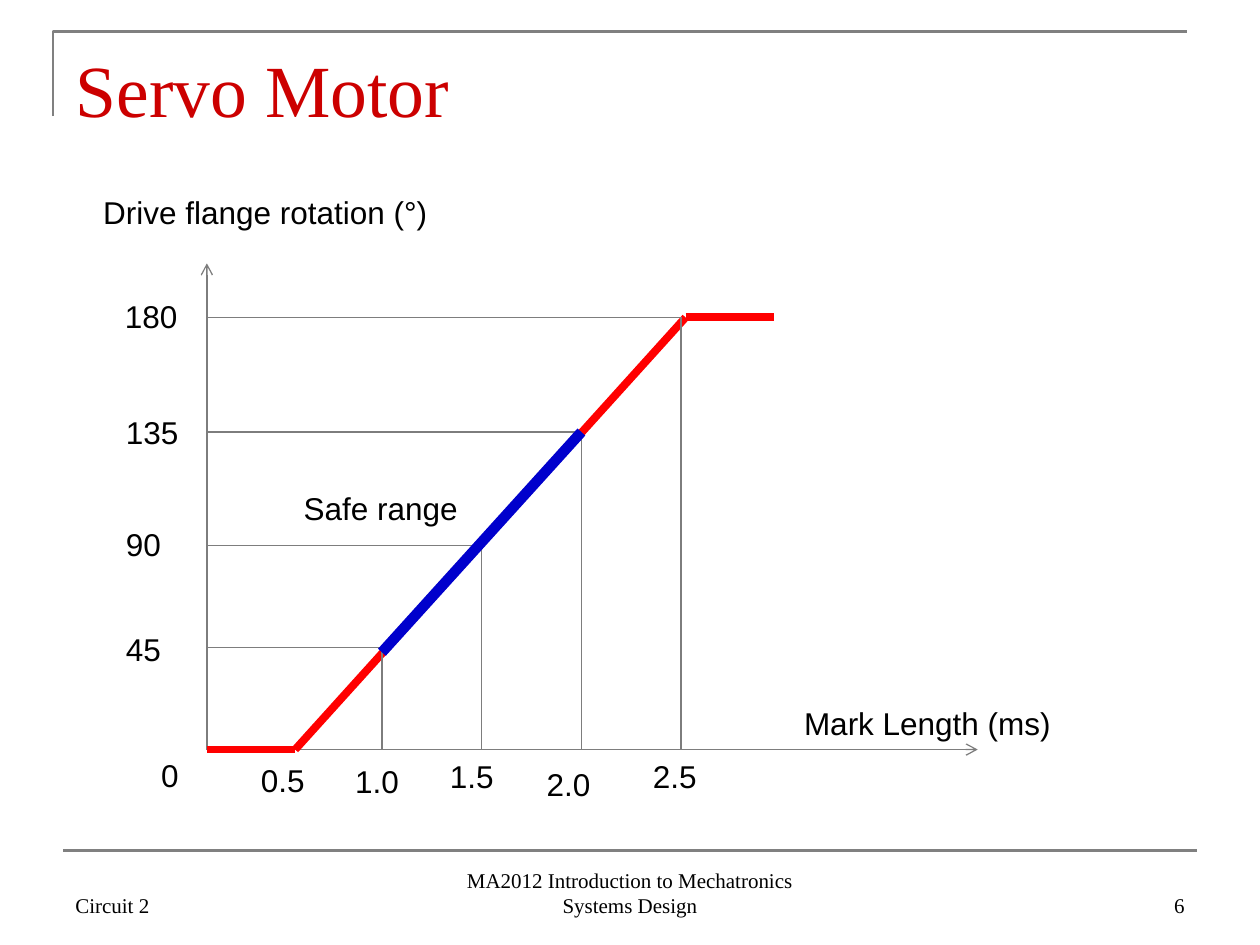
from lxml.etree import SubElement
from pptx import Presentation
from pptx.dml.color import RGBColor
from pptx.enum.shapes import MSO_CONNECTOR
from pptx.enum.text import MSO_ANCHOR, PP_ALIGN
from pptx.oxml.ns import qn
from pptx.util import Cm, Pt

BLACK = RGBColor(0x00, 0x00, 0x00)
GREY = RGBColor(0x80, 0x80, 0x80)
AXIS_GREY = RGBColor(0x7D, 0x7D, 0x7D)
CRIMSON = RGBColor(0xCC, 0x00, 0x00)
RED = RGBColor(0xFF, 0x00, 0x00)
BLUE = RGBColor(0x00, 0x00, 0xCC)
SERIF = "Times New Roman"
SANS = "Arial"


def add_line(s, start, end, color, width, arrow=False):
    x1, y1, x2, y2 = (Cm(v) for v in (*start, *end))
    cn = s.shapes.add_connector(MSO_CONNECTOR.STRAIGHT, x1, y1, x2, y2)
    cn.line.color.rgb = color
    cn.line.width = Pt(width)
    if arrow:
        SubElement(cn.line._get_or_add_ln(), qn("a:tailEnd"), type="arrow")
    SubElement(cn._element.spPr, qn("a:effectLst"))


def set_font(p, name, size, color):
    p.font.name = name
    p.font.size = Pt(size)
    p.font.color.rgb = color


def add_text(s, text, box, font=SANS, size=18, align=PP_ALIGN.LEFT,
             anchor=MSO_ANCHOR.TOP):
    tf = s.shapes.add_textbox(*(Cm(v) for v in box)).text_frame
    tf.word_wrap = True
    tf.vertical_anchor = anchor
    p = tf.paragraphs[0]
    p.text = text
    p.alignment = align
    set_font(p, font, size, BLACK)


def add_corner(s, left, top, width, height):
    fb = s.shapes.build_freeform(Cm(left), Cm(top + height))
    fb.add_line_segments([(Cm(left), Cm(top)), (Cm(left + width), Cm(top))],
                         close=False)
    sp = fb.convert_to_shape()
    sp.shadow.inherit = False
    sp.fill.background()
    sp.line.color.rgb = GREY
    sp.line.width = Pt(1.5)


def add_title(s, left, top, width, height):
    sp = s.shapes.title
    sp.left, sp.top, sp.width, sp.height = (
        Cm(v) for v in (left, top, width, height))
    tf = sp.text_frame
    tf.vertical_anchor = MSO_ANCHOR.TOP
    p = tf.paragraphs[0]
    p.text = "Servo Motor"
    p.alignment = PP_ALIGN.LEFT
    set_font(p, SERIF, 42, CRIMSON)


def add_footer(s, left, top, width, height):
    add_line(s, (left, top), (left + width, top), GREY, 1.5)
    side, middle = 5.92, 8.05
    for text, x, w, align in (
        ("Circuit 2", 0, side, PP_ALIGN.LEFT),
        ("MA2012 Introduction to Mechatronics Systems Design",
         (width - middle) / 2, middle, PP_ALIGN.CENTER),
        ("6", width - side, side, PP_ALIGN.RIGHT),
    ):
        add_text(s, text, (left + x, top + 0.2, w, height - 0.2), SERIF, 12,
                 align, MSO_ANCHOR.BOTTOM)


def add_graph(s, left, top, width, height):
    def at(x, y):
        return left + x, top + height - y

    def line(start, end, color=AXIS_GREY, weight=0.75, arrow=False):
        add_line(s, at(*start), at(*end), color, weight, arrow)

    line((0, 0), (0, height), arrow=True)
    line((0, 0), (width, 0), arrow=True)

    curve = [(0, 0), (1.78, 0), (9.65, 8.71), (11.43, 8.71)]
    for start, end in zip(curve, curve[1:]):
        line(start, end, RED, 4.5)

    guide_xs = [3.53 + 2.01 * i for i in range(4)]
    guide_ys = [2.06, 4.11, 6.4, 8.71]
    for x, y in zip(guide_xs, guide_ys):
        line((x, y), (x, 0))
        line((x, y), (0, y))
    line((guide_xs[0], 1.96), (guide_xs[2], guide_ys[2]), BLUE, 6)

    labels = [
        ("0.5", 0.84, -0.1, 1.88),
        ("1.0", 2.74, -0.13, 1.88),
        ("1.5", 4.65, -0.03, 1.88),
        ("2.0", 6.6, -0.18, 1.88),
        ("2.5", 8.74, -0.03, 1.88),
        ("0", -1.17, 0, 1.17),
        ("45", -1.88, 2.54, 1.88),
        ("90", -1.88, 4.65, 1.88),
        ("135", -1.88, 6.91, 1.88),
        ("180", -1.9, 9.25, 1.88),
        ("Mark Length (ms)", 11.79, 1.04, 6.27),
        ("Drive flange rotation (°)", -2.34, 11.35, 8.05),
        ("Safe range", 1.7, 5.38, 4.67),
    ]
    for text, x, y, w in labels:
        add_text(s, text, (*at(x, y), w, 1.02))


def main():
    prs = Presentation()
    prs.slide_width, prs.slide_height = Cm(25.4), Cm(19.05)
    s = prs.slides.add_slide(prs.slide_layouts[5])
    add_corner(s, 1.07, 0.64, 22.86, 1.7)
    add_title(s, 1.27, 0.76, 22.86, 3.18)
    add_footer(s, 1.27, 17.15, 22.86, 1.47)
    add_graph(s, 4.17, 5.31, 15.54, 9.8)
    prs.save("out.pptx")


if __name__ == "__main__":
    main()
